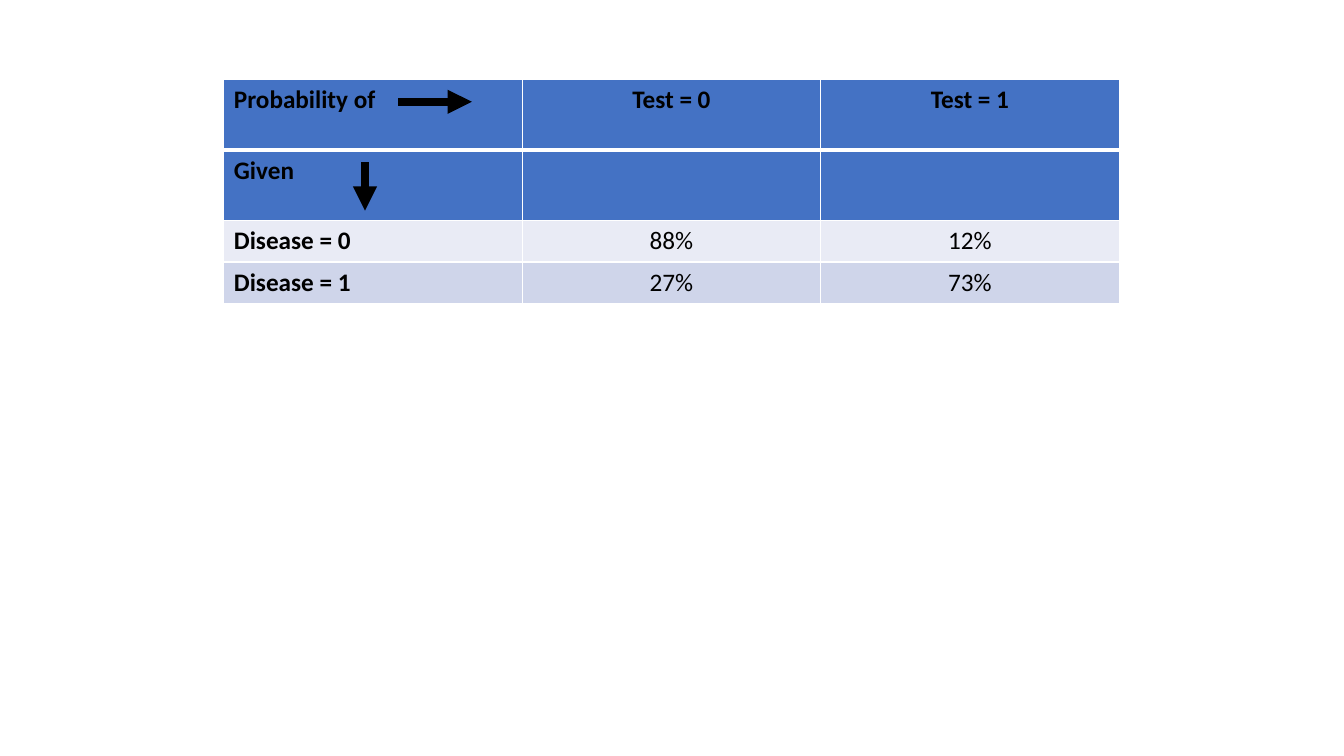
"""Build a slide with a table of test probabilities given disease status."""
from lxml import etree
from pptx import Presentation
from pptx.dml.color import RGBColor
from pptx.enum.shapes import MSO_CONNECTOR
from pptx.enum.text import PP_ALIGN
from pptx.oxml.ns import qn
from pptx.util import Inches, Pt

LEFT, CENTER = PP_ALIGN.LEFT, PP_ALIGN.CENTER
STRAIGHT = MSO_CONNECTOR.STRAIGHT
BLACK, WHITE, BLUE, PALE, LAVENDER = "000000", "FFFFFF", "4472C4", "E9EBF5", "CFD5EA"


def rgb(color):
    return RGBColor.from_string(color)


def write(frame, text, size=18, bold=False, color=BLACK, align=LEFT):
    paragraph = frame.paragraphs[0]
    paragraph.alignment = align
    run = paragraph.add_run()
    run.text = text
    run.font.name = "Calibri"
    run.font.size = Pt(size)
    run.font.bold = bold
    run.font.color.rgb = rgb(color)


prs = Presentation()
prs.slide_width, prs.slide_height = Inches(13.33), Inches(7.5)
slide = prs.slides.add_slide(prs.slide_layouts[6])

rows = [
    (["Probability of", "Test = 0", "Test = 1"], BLUE, 0.7),
    (["Given", "", ""], BLUE, 0.7),
    (["Disease = 0", "88%", "12%"], PALE, 0.41),
    (["Disease = 1", "27%", "73%"], LAVENDER, 0.41),
]
probabilities = slide.shapes.add_table(
    len(rows), 3, Inches(2.22), Inches(0.79), Inches(8.88), Inches(2.22)
).table
for column in probabilities.columns:
    column.width = Inches(2.96)

for r, (texts, fill, height) in enumerate(rows):
    probabilities.rows[r].height = Inches(height)
    for c, text in enumerate(texts):
        cell = probabilities.cell(r, c)
        cell.fill.solid()
        cell.fill.fore_color.rgb = rgb(fill)
        write(cell.text_frame, text, bold=r == 0 or c == 0, align=CENTER if c else LEFT)
        widths = {"L": 1, "R": 1, "T": 3 if r == 1 else 1, "B": 3 if r == 0 else 1}
        for place, (side, width) in enumerate(widths.items()):
            border = etree.Element(qn(f"a:ln{side}"), w=str(Pt(width)))
            solid = etree.SubElement(border, qn("a:solidFill"))
            etree.SubElement(solid, qn("a:srgbClr"), val=WHITE)
            cell._tc.get_or_add_tcPr().insert(place, border)

for ends in [(3.95, 1.01, 4.68, 1.01), (3.62, 1.61, 3.62, 2.09)]:
    arrow = slide.shapes.add_connector(STRAIGHT, *map(Inches, ends))
    arrow.line.color.rgb = rgb(BLACK)
    arrow.line.width = Pt(5.75)
    etree.SubElement(arrow.line._get_or_add_ln(), qn("a:tailEnd"), type="triangle")
    etree.SubElement(arrow._element.spPr, qn("a:effectLst"))

prs.save("out.pptx")
